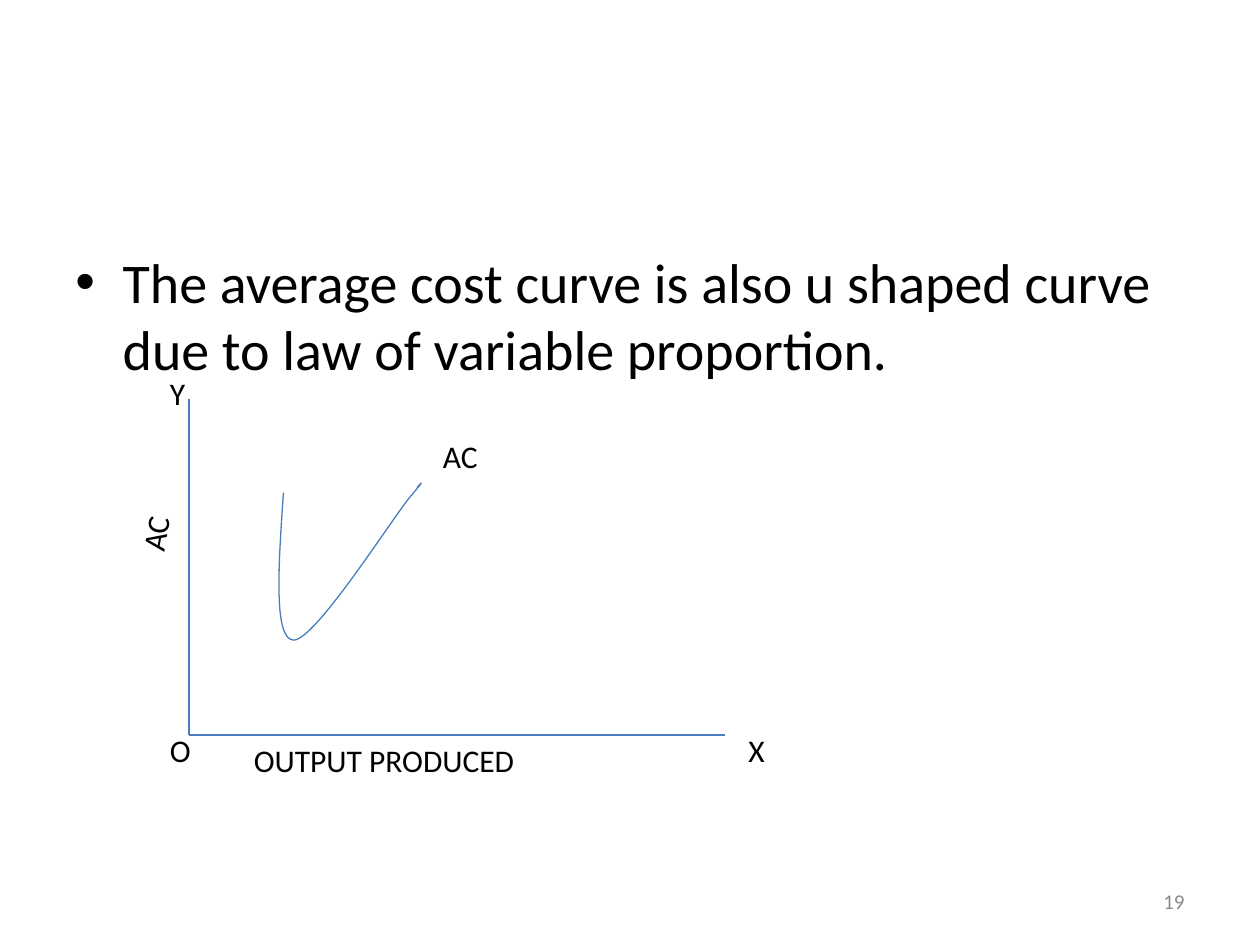
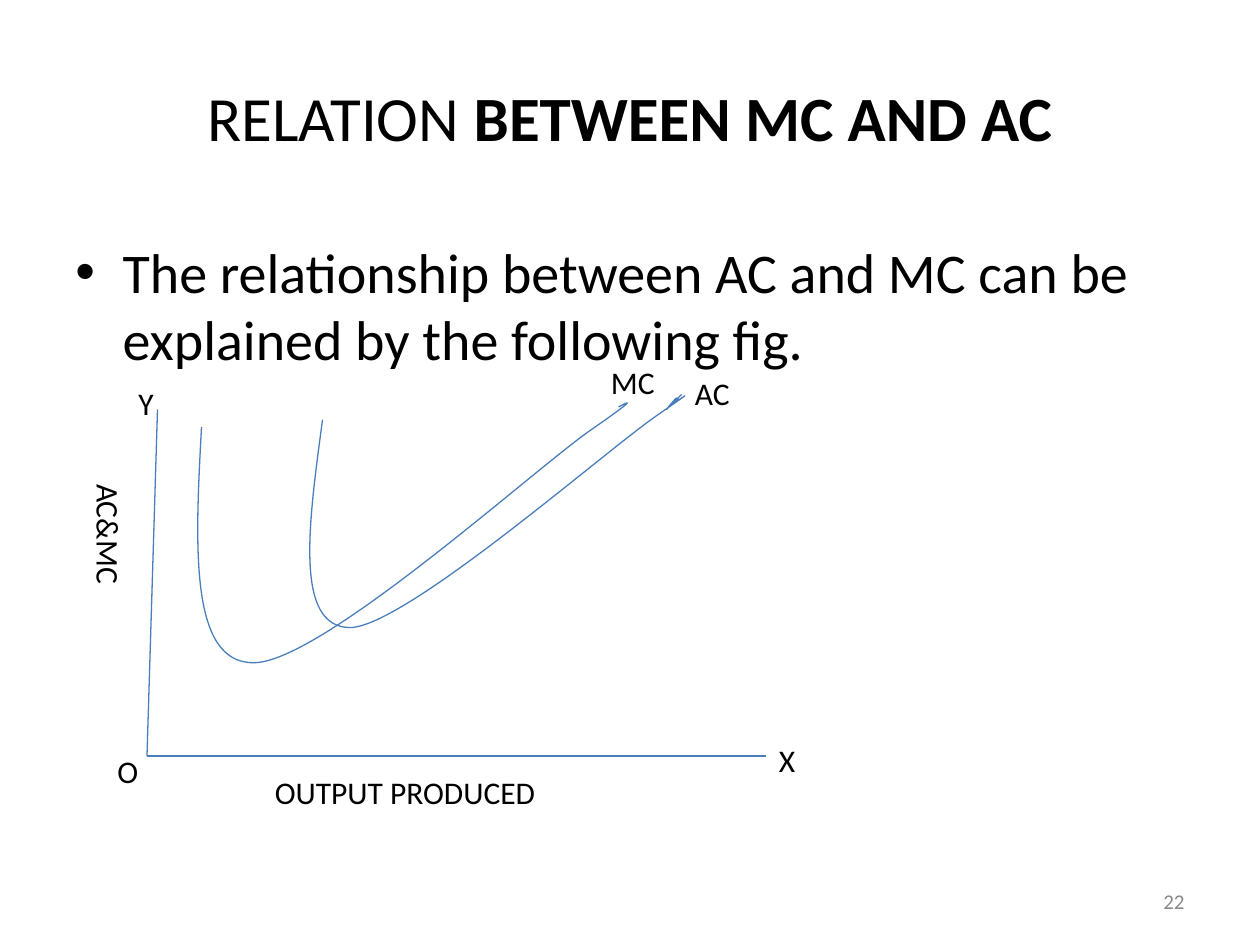
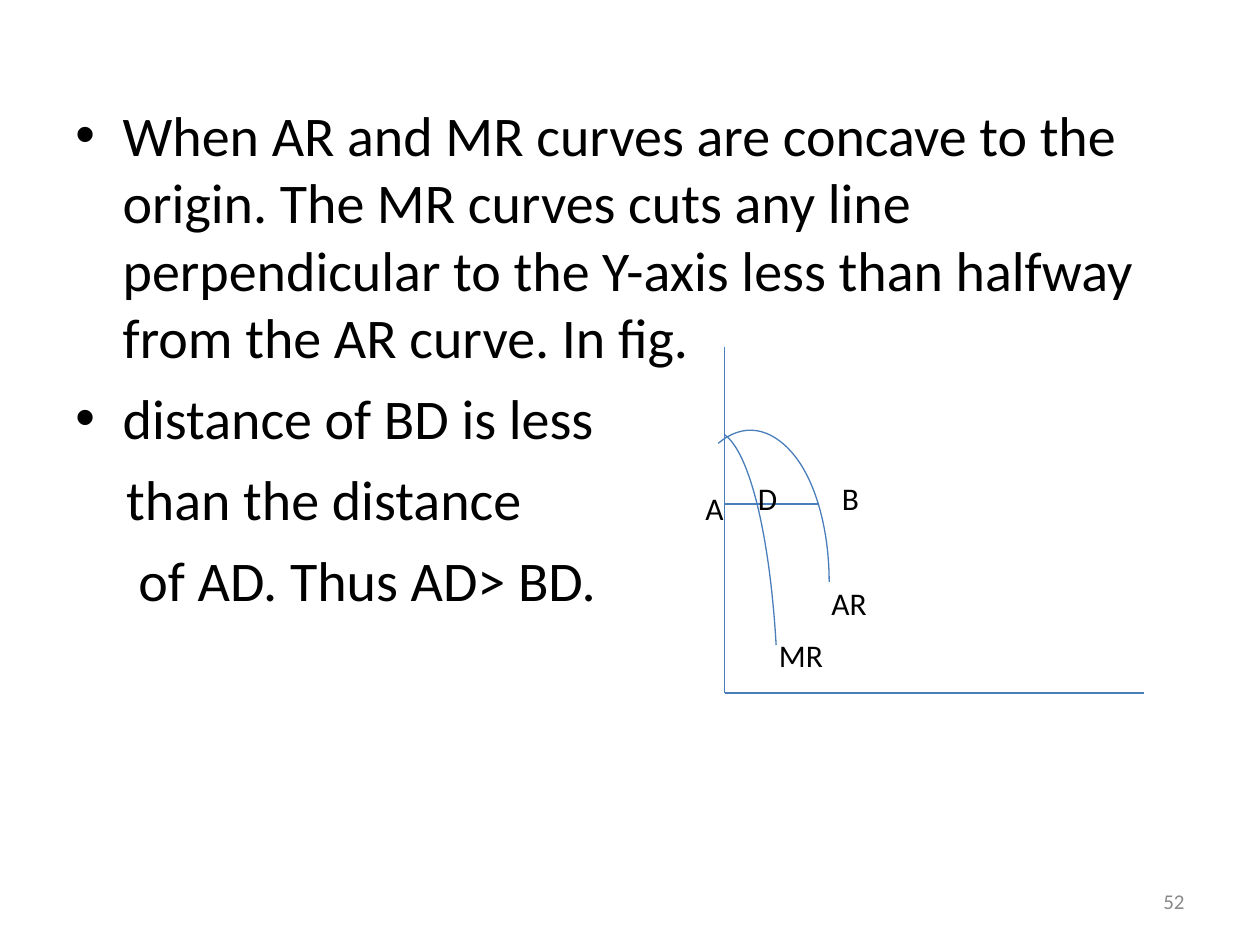
from dataclasses import dataclass

from lxml import etree
from pptx import Presentation
from pptx.dml.color import RGBColor
from pptx.enum.shapes import MSO_CONNECTOR
from pptx.enum.text import MSO_ANCHOR, PP_ALIGN
from pptx.oxml.ns import qn
from pptx.slide import Slide
from pptx.text.text import TextFrame, _Paragraph
from pptx.util import Pt

STRAIGHT = MSO_CONNECTOR.STRAIGHT
TOP, MIDDLE = MSO_ANCHOR.TOP, MSO_ANCHOR.MIDDLE
LEFT, CENTER, RIGHT = PP_ALIGN.LEFT, PP_ALIGN.CENTER, PP_ALIGN.RIGHT

Point = tuple[float, float]


@dataclass(frozen=True)
class Theme:
    font: str = "Calibri"
    ink: RGBColor = RGBColor(0x00, 0x00, 0x00)
    line: RGBColor = RGBColor(0x4A, 0x7E, 0xBB)
    muted: RGBColor = RGBColor(0x89, 0x89, 0x89)
    title_size: float = 36
    body_size: float = 32
    label_size: float = 18
    number_size: float = 12
    line_width: float = 0.75
    label_height: float = 29
    bullet_indent: float = 27
    paragraph_gap: float = 8


THEME = Theme()


@dataclass(frozen=True)
class Box:
    left: float
    top: float
    width: float
    height: float


@dataclass(frozen=True)
class BodyLine:
    text: str
    plain_indent: float | None = None


@dataclass(frozen=True)
class Label:
    text: str
    left: float
    top: float
    width: float
    rotation: float = 0


@dataclass(frozen=True)
class Segment:
    start: Point
    end: Point


@dataclass(frozen=True)
class Curve:
    start: Point
    controls: tuple[Point, ...]


@dataclass(frozen=True)
class Figure:
    segments: tuple[Segment, ...]
    curves: tuple[Curve, ...]
    labels: tuple[Label, ...]


@dataclass(frozen=True)
class Page:
    number: str
    body_box: Box
    body: tuple[BodyLine, ...]
    figure: Figure
    title: tuple[str, str] | None = None


TITLE_BOX = Box(36, 21.6, 648, 90)
NUMBER_BOX = Box(516, 500.4, 168, 29)

AVERAGE_COST = Figure(
    segments=(
        Segment((108, 228), (108, 420)),
        Segment((108, 420), (414, 420)),
    ),
    curves=(
        Curve((162, 281.5), (
            (159.1, 323.3), (156.2, 365.4), (167.8, 365.8),
            (180, 365.8), (222.5, 298.8), (234, 284.4),
            (246.2, 270), (238.3, 278.6), (238.3, 278.6),
        )),
    ),
    labels=(
        Label("AC", 246, 246, 44),
        Label("X", 420.5, 414, 24),
        Label("O", 90, 414, 45),
        Label("Y", 90, 210, 23),
        Label("OUTPUT PRODUCED", 138, 420, 168),
        Label("AC", 69, 287.3, 40.3, 279.5),
    ),
)

COST_RELATION = Figure(
    segments=(
        Segment((90, 234), (84, 432)),
        Segment((84, 432), (438, 432)),
    ),
    curves=(
        Curve((184.3, 239.8), (
            (176.4, 298.8), (167.8, 358.6), (200.2, 358.6),
            (231.8, 357.8), (344.9, 258.5), (375.1, 237.6),
            (406.1, 216), (383, 231.8), (385.2, 230.4),
            (387.4, 229), (387.4, 229), (387.4, 228.2),
            (387.4, 228.2), (387.4, 226.8), (386.6, 227.5),
            (385.9, 228.2), (383, 231.8), (383, 231.8),
            (383, 231.8), (386.6, 226.8), (386.6, 227.5),
            (385.9, 227.5), (380.2, 234.7), (380.9, 234),
            (381.6, 233.3), (385.2, 229.7), (389.5, 225.4),
        )),
        Curve((115.2, 244.1), (
            (111.6, 311), (108, 378.7), (144.7, 378.7),
            (182.2, 379.4), (302.4, 270.7), (337, 246.2),
            (372.2, 221.8), (353.5, 232.6), (353.5, 232.6),
        )),
    ),
    labels=(
        Label("AC", 390, 210, 35),
        Label("MC", 342, 204, 58),
        Label("X", 438, 420, 36),
        Label("O", 60, 426, 38),
        Label("Y", 72, 216, 30),
        Label("OUTPUT PRODUCED", 150, 438, 252),
        Label("AC&MC", 17.3, 300, 90, 90),
    ),
)

CONCAVE_REVENUE = Figure(
    segments=(
        Segment((414, 198), (414, 396)),
        Segment((414, 396), (654, 396)),
        Segment((414, 288), (468, 288)),
    ),
    curves=(
        Curve((414, 248.4), ((428.4, 258.5), (439.9, 306), (443.5, 368.6))),
        Curve((410.4, 253.4), (
            (424.8, 241.2), (440.6, 244.1), (453.6, 259.9),
            (466.6, 275.8), (473.8, 303.8), (473.8, 332.6),
        )),
    ),
    labels=(
        Label("AR", 468, 330, 42),
        Label("MR", 438, 360, 90),
        Label("B", 474, 270, 20),
        Label("A", 396, 276, 27),
        Label("D", 426, 270, 27),
    ),
)

PAGES = (
    Page(
        number="19",
        body_box=Box(36, 138, 648, 356.4),
        body=(BodyLine("The average cost curve is also u shaped curve due to law of variable proportion."),),
        figure=AVERAGE_COST,
    ),
    Page(
        number="22",
        title=("RELATION", " BETWEEN MC AND AC"),
        body_box=Box(36, 132, 648, 356.4),
        body=(BodyLine("The relationship between AC and MC can be explained by the following fig."),),
        figure=COST_RELATION,
    ),
    Page(
        number="52",
        body_box=Box(36, 54, 636, 428.4),
        body=(
            BodyLine(
                "When AR and MR curves are concave to the origin. The MR curves cuts any line "
                "perpendicular to the Y-axis less than halfway from the AR curve. In fig."
            ),
            BodyLine("distance of BD is less"),
            BodyLine("than the distance", 29),
            BodyLine("of AD. Thus AD> BD.", 36),
        ),
        figure=CONCAVE_REVENUE,
    ),
)


def add_frame(slide: Slide, box: Box, anchor: MSO_ANCHOR = TOP, rotation: float = 0) -> TextFrame:
    shape = slide.shapes.add_textbox(Pt(box.left), Pt(box.top), Pt(box.width), Pt(box.height))
    shape.rotation = rotation
    frame = shape.text_frame
    frame.word_wrap = True
    frame.vertical_anchor = anchor
    return frame


def format_spans(para: _Paragraph, size: float, color: RGBColor = THEME.ink, align: PP_ALIGN = LEFT) -> None:
    para.alignment = align
    for span in para.runs:
        span.font.name = THEME.font
        span.font.size = Pt(size)
        span.font.color.rgb = color


def indent(para: _Paragraph, line: BodyLine) -> None:
    properties = para._p.get_or_add_pPr()
    if line.plain_indent is not None:
        properties.set("marL", str(Pt(line.plain_indent)))
        return
    properties.set("marL", str(Pt(THEME.bullet_indent)))
    properties.set("indent", str(-Pt(THEME.bullet_indent)))
    etree.SubElement(properties, qn("a:buFont")).set("typeface", "Arial")
    etree.SubElement(properties, qn("a:buChar")).set("char", "•")


def add_title(slide: Slide, title: tuple[str, str]) -> None:
    para = add_frame(slide, TITLE_BOX, MIDDLE).paragraphs[0]
    for text in title:
        para.add_run().text = text
    format_spans(para, THEME.title_size, align=CENTER)
    para.runs[-1].font.bold = True


def add_body(slide: Slide, page: Page) -> None:
    frame = add_frame(slide, page.body_box)
    frame.text = "\n".join(line.text for line in page.body)
    for position, (para, line) in enumerate(zip(frame.paragraphs, page.body)):
        indent(para, line)
        if position:
            para.space_before = Pt(THEME.paragraph_gap)
        format_spans(para, THEME.body_size)


def add_number(slide: Slide, number: str) -> None:
    frame = add_frame(slide, NUMBER_BOX, MIDDLE)
    frame.text = number
    format_spans(frame.paragraphs[0], THEME.number_size, THEME.muted, RIGHT)


def add_label(slide: Slide, label: Label) -> None:
    box = Box(label.left, label.top, label.width, THEME.label_height)
    frame = add_frame(slide, box, rotation=label.rotation)
    frame.text = label.text
    format_spans(frame.paragraphs[0], THEME.label_size)


def add_segment(slide: Slide, segment: Segment) -> None:
    ends = [Pt(value) for value in segment.start + segment.end]
    connector = slide.shapes.add_connector(STRAIGHT, *ends)
    connector.line.color.rgb = THEME.line
    connector.line.width = Pt(THEME.line_width)
    etree.SubElement(connector.element.spPr, qn("a:effectLst"))


def add_curve(slide: Slide, curve: Curve) -> None:
    builder = slide.shapes.build_freeform(Pt(curve.start[0]), Pt(curve.start[1]))
    builder.add_line_segments([(Pt(x), Pt(y)) for x, y in curve.controls], close=False)
    shape = builder.convert_to_shape()
    shape.shadow.inherit = False
    shape.fill.background()
    shape.line.color.rgb = THEME.line
    shape.line.width = Pt(THEME.line_width)
    outline = next(shape.element.iter(qn("a:path")))
    outline.set("fill", "none")
    steps = outline.findall(qn("a:lnTo"))
    for first in range(0, len(steps), 3):
        bezier = etree.SubElement(outline, qn("a:cubicBezTo"))
        for step in steps[first:first + 3]:
            bezier.append(step[0])
            outline.remove(step)


def add_figure(slide: Slide, figure: Figure) -> None:
    for segment in figure.segments:
        add_segment(slide, segment)
    for curve in figure.curves:
        add_curve(slide, curve)
    for label in figure.labels:
        add_label(slide, label)


def main() -> None:
    deck = Presentation()
    deck.slide_width, deck.slide_height = Pt(720), Pt(540)
    blank = deck.slide_layouts[6]
    for page in PAGES:
        slide = deck.slides.add_slide(blank)
        if page.title:
            add_title(slide, page.title)
        add_body(slide, page)
        add_number(slide, page.number)
        add_figure(slide, page.figure)
    deck.save("out.pptx")


if __name__ == "__main__":
    main()
